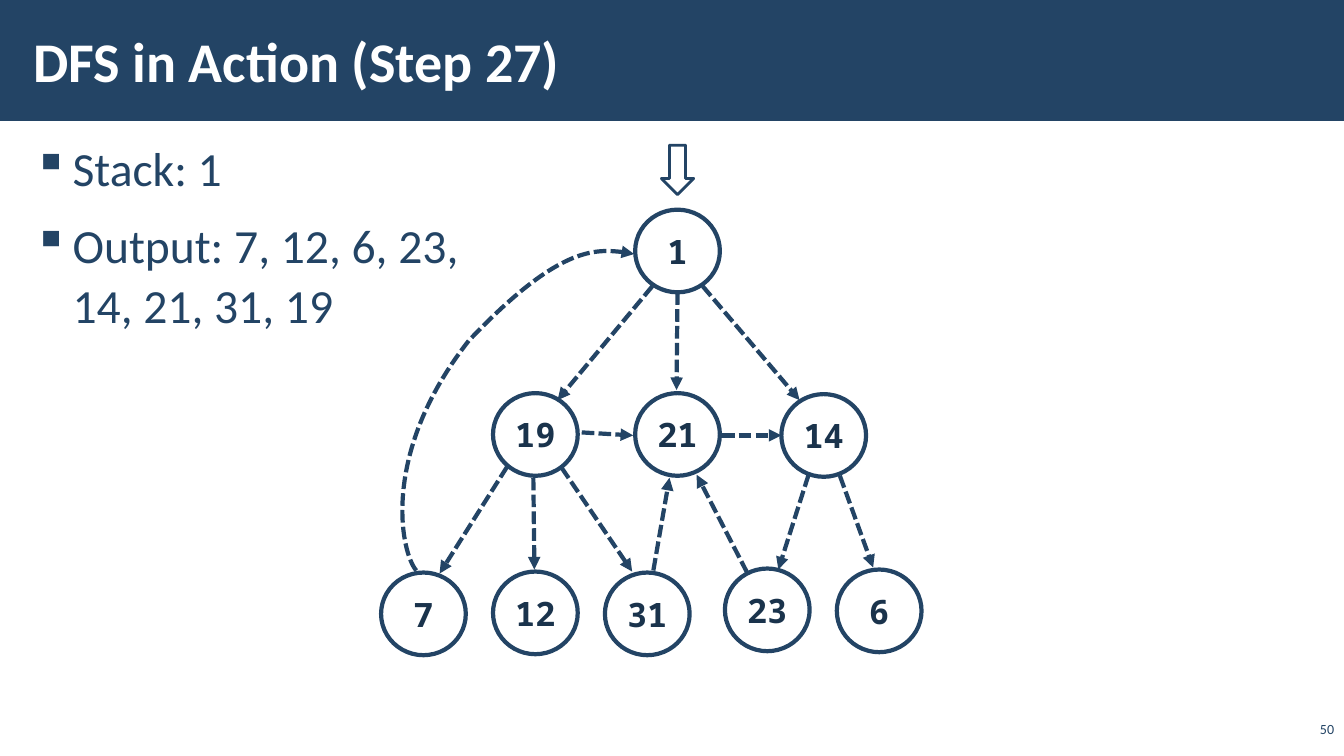
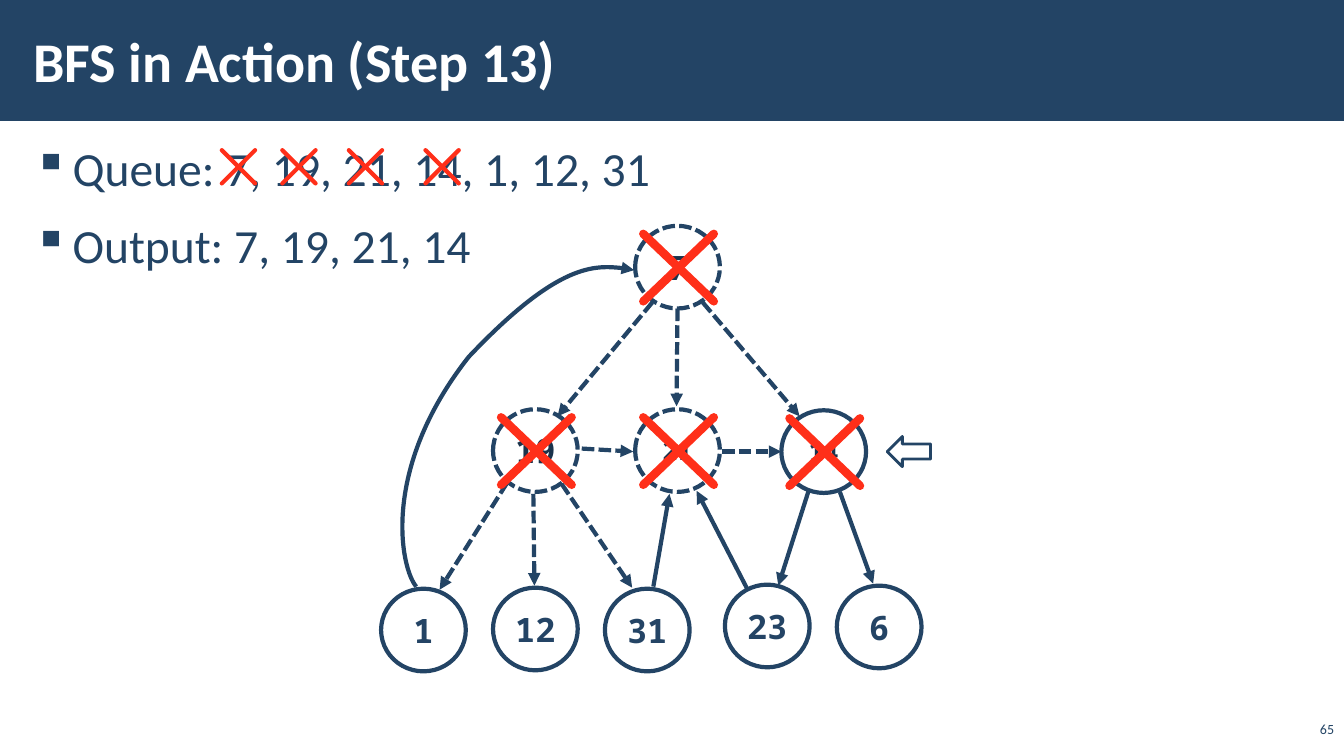
from lxml import etree
from pptx import Presentation
from pptx.dml.color import RGBColor
from pptx.enum import dml, shapes, text
from pptx.oxml.ns import qn
from pptx.util import Inches, Pt

NAVY = RGBColor(0x23, 0x44, 0x65)
INK = RGBColor(0x1A, 0x33, 0x4C)
SLATE = RGBColor(0x24, 0x44, 0x65)
RED = RGBColor(0xFF, 0x2F, 0x19)
WHITE = RGBColor(0xFF, 0xFF, 0xFF)
SANS, MONO = "Calibri", "Noto Sans Mono"

# Graph geometry, in inches from the top left of the graph box
NODE_W, NODE_H = 0.84, 0.82
NODES = [(2.52, 0), (1.11, 1.82), (2.52, 1.82), (3.97, 1.83),
         (0, 3.6), (1.11, 3.59), (2.22, 3.6), (3.41, 3.56), (4.52, 3.57)]
EARLY = [(2.69, 0.76, 1.75, 1.89), (2.94, 0.82, 2.93, 1.79),
         (3.19, 0.76, 4.15, 1.89), (1.99, 2.21, 2.5, 2.24),
         (3.38, 2.24, 3.97, 2.24), (1.25, 2.55, 0.58, 3.61),
         (1.51, 2.66, 1.52, 3.57), (1.79, 2.56, 2.49, 3.59)]
LATE = [(4.24, 2.63, 3.94, 3.57), (4.55, 2.64, 4.88, 3.55),
        (2.7, 3.58, 2.86, 2.66), (3.63, 3.6, 3.13, 2.63)]
BACK = [(0.35, 3.58), (0.2, 3.41), (-0.02, 2.43), (0.87, 1.3),
        (1.76, 0.36), (2.26, 0.38), (2.51, 0.44)]


def box(*sides):
    return [Inches(side) for side in sides]


def stroke(shape, color=NAVY, width=3, dash=False, arrow=False):
    shape.line.color.rgb = color
    shape.line.width = Pt(width)
    if dash:
        shape.line.dash_style = dml.MSO_LINE.SQUARE_DOT
    if arrow:
        line = shape.element.find(".//" + qn("a:ln"))
        etree.SubElement(line, qn("a:tailEnd"), type="triangle")


def tint(shape, alpha):
    """Fill with see-through white; alpha is a percentage."""
    shape.fill.solid()
    shape.fill.fore_color.rgb = WHITE
    color = shape.element.find(".//" + qn("a:srgbClr"))
    etree.SubElement(color, qn("a:alpha"), val=str(alpha * 1000))
    shape.shadow.inherit = False


def style(para, size, color, face=SANS, bold=False):
    font = para.font
    font.name, font.size, font.bold = face, Pt(size), bold
    font.color.rgb = color


def inset(frame):
    frame.word_wrap = True
    frame.margin_left = frame.margin_right = Inches(0.12)
    frame.margin_top = frame.margin_bottom = Inches(0.04)


def link(slide, x1, y1, x2, y2, **look):
    line = slide.shapes.add_connector(
        shapes.MSO_CONNECTOR.STRAIGHT, *box(x1, y1, x2, y2))
    stroke(line, **look)
    etree.SubElement(line.element.spPr, qn("a:effectLst"))
    return line


def cross(slide, x, y, w, h, width):
    for top, end in ((y, y + h), (y + h, y)):
        line = link(slide, x, top, x + w, end, color=RED, width=width)
        line.element.find(".//" + qn("a:ln")).set("cap", "rnd")


def frame_slide(prs, head, number):
    """Title band and page number."""
    slide = prs.slides.add_slide(prs.slide_layouts[5])
    title = slide.shapes.title
    band = slide.shapes.add_shape(
        shapes.MSO_SHAPE.RECTANGLE, 0, 0, prs.slide_width, Inches(1.2))
    band.fill.solid()
    band.fill.fore_color.rgb = NAVY
    band.line.fill.background()
    band.shadow.inherit = False
    title.element.addprevious(band.element)

    title.left, title.top, title.width, title.height = box(
        0.21, 0.11, 10.63, 0.97)
    inset(title.text_frame)
    title.text_frame.vertical_anchor = text.MSO_ANCHOR.MIDDLE
    title.text_frame.text = head
    para = title.text_frame.paragraphs[0]
    para.alignment = text.PP_ALIGN.LEFT
    style(para, 40, WHITE, bold=True)

    page = slide.shapes.add_textbox(*box(12.86, 7.14, 0.47, 0.22)).text_frame
    page.word_wrap = True
    page.vertical_anchor = text.MSO_ANCHOR.BOTTOM
    page.text = str(number)
    page.paragraphs[0].alignment = text.PP_ALIGN.RIGHT
    style(page.paragraphs[0], 10, NAVY)
    return slide


def bullets(slide, lines):
    frame = slide.shapes.add_textbox(*box(0.21, 1.31, 12.92, 6.05)).text_frame
    inset(frame)
    frame.text = lines[0]
    for line in lines[1:]:
        frame.add_paragraph().text = line
    for i, para in enumerate(frame.paragraphs):
        props = para._p.get_or_add_pPr()
        props.set("marL", str(Inches(0.39)))
        props.set("indent", str(-Inches(0.39)))
        etree.SubElement(props, qn("a:buChar"), char="▪")
        para.line_spacing = 1.05
        para.space_before = Pt(6 if i else 0)
        para.space_after = Pt(6)
        style(para, 34, NAVY)


def node(slide, x, y, label, size, seen, dash):
    oval = slide.shapes.add_shape(
        shapes.MSO_SHAPE.OVAL, *box(x, y, NODE_W, NODE_H))
    tint(oval, 70 if seen else 50)
    stroke(oval, dash=dash)
    frame = oval.text_frame
    frame.word_wrap = False
    frame.vertical_anchor = text.MSO_ANCHOR.MIDDLE
    frame.text = label
    frame.paragraphs[0].alignment = text.PP_ALIGN.CENTER
    style(frame.paragraphs[0], size, INK if seen else SLATE, MONO, True)


def curve(slide, points, dash):
    """Bézier arrow: each three points after the first make one segment."""
    start, *rest = [box(*point) for point in points]
    pen = slide.shapes.build_freeform(*start)
    pen.add_line_segments(rest, close=False)
    arc = pen.convert_to_shape()
    steps = list(arc.element.iter(qn("a:lnTo")))
    for i in range(0, len(steps), 3):
        bend = etree.Element(qn("a:cubicBezTo"))
        steps[i].addprevious(bend)
        for step in steps[i:i + 3]:
            bend.append(step[0])
            step.getparent().remove(step)
    arc.fill.background()
    arc.shadow.inherit = False
    stroke(arc, dash=dash, arrow=True)


def graph(slide, left, top, labels, seen, dashed, late, crossed=0, small=()):
    """Nodes below each count are seen, dashed or crossed out."""
    for edges, dash in ((EARLY, True), (LATE, late)):
        for x1, y1, x2, y2 in edges:
            link(slide, left + x1, top + y1, left + x2, top + y2,
                 dash=dash, arrow=True)
    curve(slide, [(left + x, top + y) for x, y in BACK], late)
    for i, ((x, y), label) in enumerate(zip(NODES, labels)):
        node(slide, left + x, top + y, label, 18 if i in small else 24,
             i < seen, i < dashed)
    for x, y in NODES[:crossed]:
        cross(slide, left + x + 0.08, top + y + 0.08, 0.7, 0.67, 6)


def pointer(slide, kind, *place):
    arrow = slide.shapes.add_shape(kind, *box(*place))
    tint(arrow, 50)
    stroke(arrow, width=2)


def dfs(prs):
    slide = frame_slide(prs, "DFS in Action (Step 27)", 50)
    bullets(slide, ["Stack: 1", "Output: 7, 12, 6, 23,\v14, 21, 31, 19"])
    graph(slide, 3.78, 2.08, "1 19 21 14 7 12 31 23 6".split(),
          seen=9, dashed=0, late=True)
    pointer(slide, shapes.MSO_SHAPE.DOWN_ARROW, 6.56, 1.44, 0.32, 0.49)


def bfs(prs):
    slide = frame_slide(prs, "BFS in Action (Step 13)", 65)
    bullets(slide, ["Queue: 7, 19, 21, 14, 1, 12, 31",
                    "Output: 7, 19, 21, 14"])
    for x in (2.2, 2.8, 3.46, 4.22):
        cross(slide, x, 1.49, 0.33, 0.33, 3)
    graph(slide, 3.78, 2.24, "7 19 21 14 1 12 31 23 6".split(),
          seen=4, dashed=3, late=False, crossed=4, small=(2, 3))
    pointer(slide, shapes.MSO_SHAPE.LEFT_ARROW, 8.8, 4.33, 0.43, 0.3)


def main():
    prs = Presentation()
    prs.slide_width, prs.slide_height = box(13.33, 7.5)
    dfs(prs)
    bfs(prs)
    prs.save("out.pptx")


if __name__ == "__main__":
    main()
